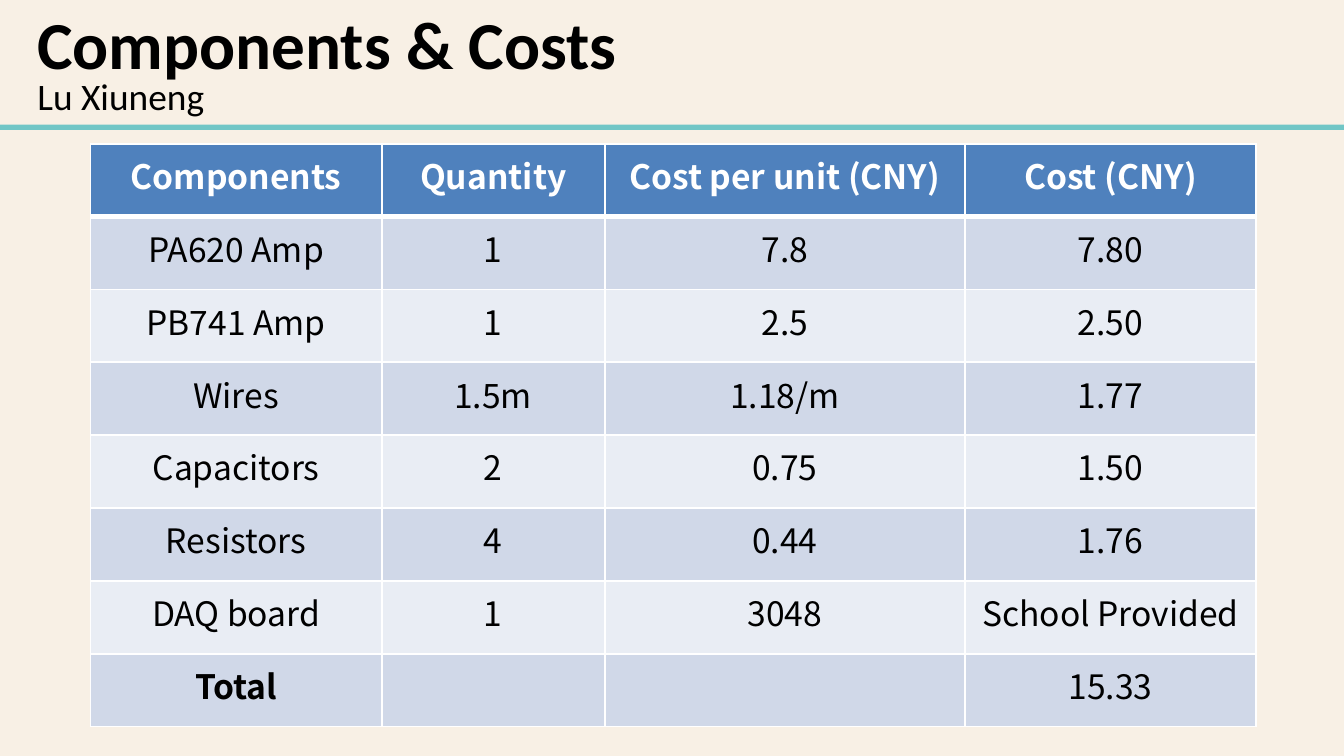
from typing import NamedTuple

from lxml.etree import SubElement
from pptx import Presentation
from pptx.dml.color import RGBColor
from pptx.enum.shapes import MSO_SHAPE as Shape
from pptx.enum.text import PP_ALIGN as Align
from pptx.oxml.ns import qn
from pptx.util import Pt

CREAM = RGBColor(0xF8, 0xF0, 0xE5)
TEAL = RGBColor(0x71, 0xC6, 0xC6)
BLUE = RGBColor(0x4F, 0x81, 0xBD)
BAND_DARK = RGBColor(0xD0, 0xD8, 0xE8)
BAND_LIGHT = RGBColor(0xE9, 0xED, 0xF4)
WHITE = RGBColor(0xFF, 0xFF, 0xFF)
BLACK = RGBColor(0, 0, 0)

PAGE_WIDTH, PAGE_HEIGHT = 720, 405
HEADING_FONT = "Calibri"
TABLE_FONT = "Noto Sans CJK KR"
TABLE_LEFT, TABLE_TOP, ROW_HEIGHT = 48.5, 77, 39.06
COLUMN_WIDTHS = (156, 119.5, 193, 156)
ROWS = (
    ("Components", "Quantity", "Cost per unit (CNY)", "Cost (CNY)"),
    ("PA620 Amp", "1", "7.8", "7.80"),
    ("PB741 Amp", "1", "2.5", "2.50"),
    ("Wires", "1.5m", "1.18/m", "1.77"),
    ("Capacitors", "2", "0.75", "1.50"),
    ("Resistors", "4", "0.44", "1.76"),
    ("DAQ board", "1", "3048", "School Provided"),
    ("Total", "", "", "15.33"),
)


class Band(NamedTuple):
    top: float
    height: float
    color: RGBColor


class Heading(NamedTuple):
    text: str
    top: float
    height: float
    size: float
    bold: bool


BANDS = (Band(0, PAGE_HEIGHT, CREAM), Band(66.8, 2.8, TEAL))
HEADINGS = (
    Heading("Lu Xiuneng", 44, 26, 20, False),
    Heading("Components & Costs", 9.5, 42, 36, True),
)


def write(frame, text: str, *, size: float, font: str, color: RGBColor = BLACK,
          bold: bool = False, align: Align = Align.LEFT, spacing: float = 1.0) -> None:
    para = frame.paragraphs[0]
    para.alignment = align
    para.line_spacing = spacing
    if text:
        span = para.add_run()
        span.text = text
        span.font.size = Pt(size)
        span.font.name = font
        span.font.bold = bold
        span.font.color.rgb = color


def draw_band(page, band: Band) -> None:
    box = page.shapes.add_shape(Shape.RECTANGLE, 0, Pt(band.top),
                                Pt(PAGE_WIDTH), Pt(band.height))
    box.shadow.inherit = False
    box.fill.solid()
    box.fill.fore_color.rgb = band.color
    box.line.fill.background()


def draw_heading(page, heading: Heading) -> None:
    box = page.shapes.add_textbox(Pt(20), Pt(heading.top), Pt(635), Pt(heading.height))
    frame = box.text_frame
    frame.word_wrap = True
    frame.margin_left = frame.margin_right = frame.margin_top = frame.margin_bottom = 0
    write(frame, heading.text, size=heading.size, font=HEADING_FONT,
          bold=heading.bold, spacing=0.8)


def set_borders(cell, row: int) -> None:
    properties = cell._tc.get_or_add_tcPr()
    widths = {"L": 1, "R": 1, "T": 3 if row == 1 else 1, "B": 3 if row == 0 else 1}
    for side, width in widths.items():
        line = SubElement(properties, qn(f"a:ln{side}"), w=str(Pt(width)))
        fill = SubElement(line, qn("a:solidFill"))
        SubElement(fill, qn("a:srgbClr"), val=str(WHITE))


def draw_table(page) -> None:
    table = page.shapes.add_table(
        len(ROWS), len(COLUMN_WIDTHS), Pt(TABLE_LEFT), Pt(TABLE_TOP),
        Pt(sum(COLUMN_WIDTHS)), Pt(ROW_HEIGHT * len(ROWS))).table
    for column, width in zip(table.columns, COLUMN_WIDTHS):
        column.width = Pt(width)
    for row, texts in enumerate(ROWS):
        table.rows[row].height = Pt(ROW_HEIGHT)
        header = row == 0
        band = BLUE if header else BAND_DARK if row % 2 else BAND_LIGHT
        for column, text in enumerate(texts):
            cell = table.cell(row, column)
            set_borders(cell, row)
            cell.fill.solid()
            cell.fill.fore_color.rgb = band
            write(cell.text_frame, text, size=18, font=TABLE_FONT,
                  color=WHITE if header else BLACK,
                  bold=header or text == "Total", align=Align.CENTER)


def main() -> None:
    deck = Presentation()
    deck.slide_width, deck.slide_height = Pt(PAGE_WIDTH), Pt(PAGE_HEIGHT)
    page = deck.slides.add_slide(deck.slide_layouts[6])
    for band in BANDS:
        draw_band(page, band)
    for heading in HEADINGS:
        draw_heading(page, heading)
    draw_table(page)
    deck.save("out.pptx")


if __name__ == "__main__":
    main()
